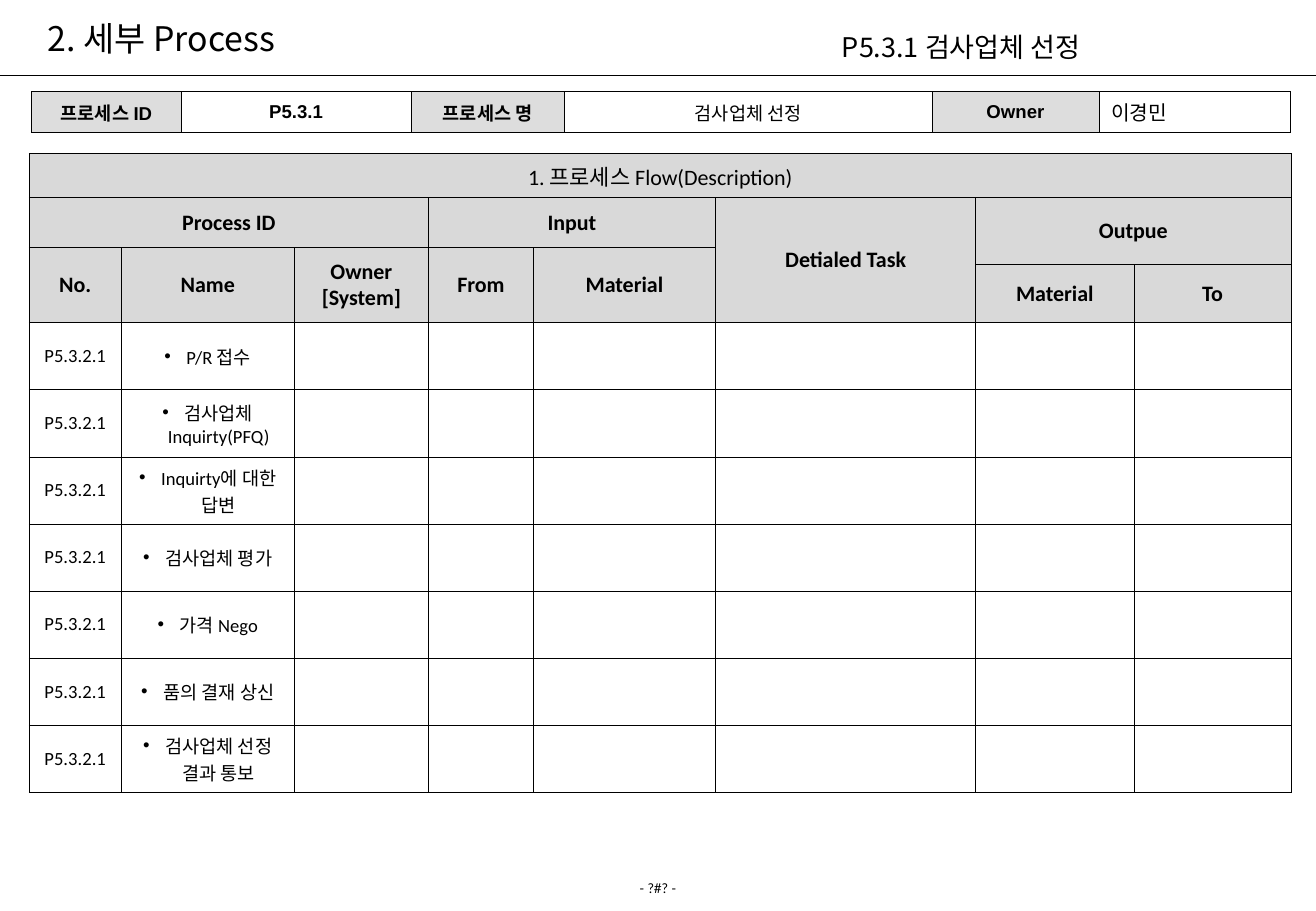
import dataclasses

import lxml.etree
import pptx
import pptx.dml.color
import pptx.enum.shapes
import pptx.enum.text
import pptx.oxml.ns
import pptx.util

Cm = pptx.util.Cm
Align = pptx.enum.text.PP_ALIGN
Anchor = pptx.enum.text.MSO_ANCHOR
qn = pptx.oxml.ns.qn


@dataclasses.dataclass(frozen=True)
class Theme:
    ink: str = "000000"
    label_fill: str = "DDDDDD"
    header_fill: str = "D9D9D9"
    korean: str = "Noto Sans CJK KR"
    label_font: str = "Arial"
    table_font: str = "Calibri"
    footer_font: str = "Lato"
    title_size: float = 20
    subtitle_size: float = 16
    header_size: float = 13
    owner_size: float = 12
    body_size: float = 11
    footer_size: float = 8
    rule_width: float = 0.75
    border_width: float = 0.45


THEME = Theme()
SLIDE_WIDTH, SLIDE_HEIGHT = 27.46, 19

INFO_COLUMNS = [3.12, 4.8, 3.2, 7.67, 3.48, 3.99]
FLOW_COLUMNS = [1.92, 3.61, 2.8, 2.19, 3.8, 5.43, 3.3, 3.28]
HEADER_ROWS = [0.92, 1.04, 0.36, 1.21]
TASK_ROW = 1.4

# row, column, rows spanned, columns spanned, text
HEADERS = [
    (0, 0, 1, 8, "1. 프로세스 Flow(Description)"),
    (1, 0, 1, 3, "Process ID"),
    (1, 3, 1, 2, "Input"),
    (1, 5, 3, 1, "Detialed Task"),
    (1, 6, 2, 2, "Outpue"),
    (2, 0, 2, 1, "No."),
    (2, 1, 2, 1, "Name"),
    (2, 2, 2, 1, "Owner\n[System]"),
    (2, 3, 2, 1, "From"),
    (2, 4, 2, 1, "Material"),
    (3, 6, 1, 1, "Material"),
    (3, 7, 1, 1, "To"),
]
TASK_ID = "P5.3.2.1"
TASKS = [
    "P/R 접수",
    "검사업체 Inquirty(PFQ)",
    "Inquirty에 대한 답변",
    "검사업체 평가",
    "가격 Nego",
    "품의 결재 상신",
    "검사업체 선정 결과 통보",
]


def rgb(value):
    return pptx.dml.color.RGBColor.from_string(value)


def write(text_frame, text, font, size, bold=False, align=Align.CENTER):
    text_frame.text = text
    for paragraph in text_frame.paragraphs:
        paragraph.alignment = align
        for run in paragraph.runs:
            run.font.size = pptx.util.Pt(size)
            run.font.bold = bold
            run.font.color.rgb = rgb(THEME.ink)
            run.font.name = font
            east_asian = lxml.etree.SubElement(run.font._element, qn("a:ea"))
            east_asian.set("typeface", THEME.korean)


def place_text(shape, box, text, font, size, align=Align.LEFT):
    shape.left, shape.top, shape.width, shape.height = map(Cm, box)
    frame = shape.text_frame
    frame.word_wrap = True
    frame.auto_size = pptx.enum.text.MSO_AUTO_SIZE.NONE
    frame.vertical_anchor = Anchor.MIDDLE
    frame.margin_top = frame.margin_bottom = 0
    write(frame, text, font, size, align=align)


def add_text(slide, box, *content, **options):
    shape = slide.shapes.add_textbox(*map(Cm, box))
    place_text(shape, box, *content, **options)


def add_rule(slide, top):
    rule = slide.shapes.add_connector(
        pptx.enum.shapes.MSO_CONNECTOR.STRAIGHT, 0, Cm(top), Cm(SLIDE_WIDTH), Cm(top))
    rule.line.color.rgb = rgb(THEME.ink)
    rule.line.width = pptx.util.Pt(THEME.rule_width)
    lxml.etree.SubElement(rule._element.spPr, qn("a:effectLst"))


def add_heading(slide, box):
    left, top, width, height = box
    place_text(slide.shapes.title, (left + 0.74, top + 0.1, 17.37, 1.4),
               "2. 세부 Process", THEME.korean, THEME.title_size)
    add_text(slide, (left + 17.32, top + 0.51, 9.02, 0.94),
             "P5.3.1 검사업체 선정", THEME.korean, THEME.subtitle_size)
    add_rule(slide, top + height)


def add_border(cell):
    properties = cell._tc.get_or_add_tcPr()
    for side in ("a:lnL", "a:lnR", "a:lnT", "a:lnB"):
        line = lxml.etree.SubElement(
            properties, qn(side), w=str(pptx.util.Pt(THEME.border_width)))
        fill = lxml.etree.SubElement(line, qn("a:solidFill"))
        lxml.etree.SubElement(fill, qn("a:srgbClr"), val=THEME.ink)


def add_grid(slide, left, top, columns, rows):
    """Add a bordered table without fills, sized by its columns and rows."""
    table = slide.shapes.add_table(
        len(rows), len(columns), Cm(left), Cm(top), Cm(sum(columns)), Cm(sum(rows))).table
    table.first_row = table.horz_banding = False
    for column, width in zip(table.columns, columns):
        column.width = Cm(width)
    for row, height in zip(table.rows, rows):
        row.height = Cm(height)
    for cell in table.iter_cells():
        cell.margin_top = cell.margin_bottom = 0
        cell.vertical_anchor = Anchor.MIDDLE
        add_border(cell)
        cell.fill.background()
    return table


def shade(cell, color):
    cell.fill.solid()
    cell.fill.fore_color.rgb = rgb(color)


def add_bullet(paragraph):
    properties = paragraph._p.get_or_add_pPr()
    properties.set("marL", str(Cm(0.46)))
    properties.set("indent", str(-Cm(0.46)))
    lxml.etree.SubElement(properties, qn("a:buFont"), typeface="Arial")
    lxml.etree.SubElement(properties, qn("a:buChar"), char="•")


def add_process_info(slide, box):
    left, top, height = box
    cells = add_grid(slide, left, top, INFO_COLUMNS, [height]).rows[0].cells
    texts = ["프로세스 ID", "P5.3.1", "프로세스 명", "검사업체 선정", "Owner", "이경민"]
    for index, (cell, text) in enumerate(zip(cells, texts)):
        if index % 2 == 0:
            shade(cell, THEME.label_fill)
        if index in (3, 5):
            continue
        write(cell.text_frame, text, THEME.label_font, THEME.body_size, bold=True)
    write(cells[3].text_frame, texts[3], THEME.korean, THEME.body_size)
    write(cells[5].text_frame, texts[5], THEME.korean, THEME.owner_size, align=Align.LEFT)


def add_process_flow(slide, left, top):
    rows = HEADER_ROWS + [TASK_ROW] * len(TASKS)
    table = add_grid(slide, left, top, FLOW_COLUMNS, rows)
    for row, column, row_span, column_span, text in HEADERS:
        cell = table.cell(row, column)
        if row_span * column_span > 1:
            cell.merge(table.cell(row + row_span - 1, column + column_span - 1))
        shade(cell, THEME.header_fill)
        write(cell.text_frame, text, THEME.table_font, THEME.header_size, bold=row > 0)
    for row, task in enumerate(TASKS, len(HEADER_ROWS)):
        for column, text in enumerate((TASK_ID, task)):
            write(table.cell(row, column).text_frame, text, THEME.table_font, THEME.body_size)
        add_bullet(table.cell(row, 1).text_frame.paragraphs[0])


def main():
    presentation = pptx.Presentation()
    presentation.slide_width = Cm(SLIDE_WIDTH)
    presentation.slide_height = Cm(SLIDE_HEIGHT)
    slide = presentation.slides.add_slide(presentation.slide_layouts[5])
    add_heading(slide, (0, 0, SLIDE_WIDTH, 1.57))
    add_process_info(slide, (0.66, 1.91, 0.85))
    add_process_flow(slide, 0.61, 3.2)
    add_text(slide, (0, 18.21, SLIDE_WIDTH, 0.61), "- ?#? -",
             THEME.footer_font, THEME.footer_size, align=Align.CENTER)
    presentation.save("out.pptx")


if __name__ == "__main__":
    main()
